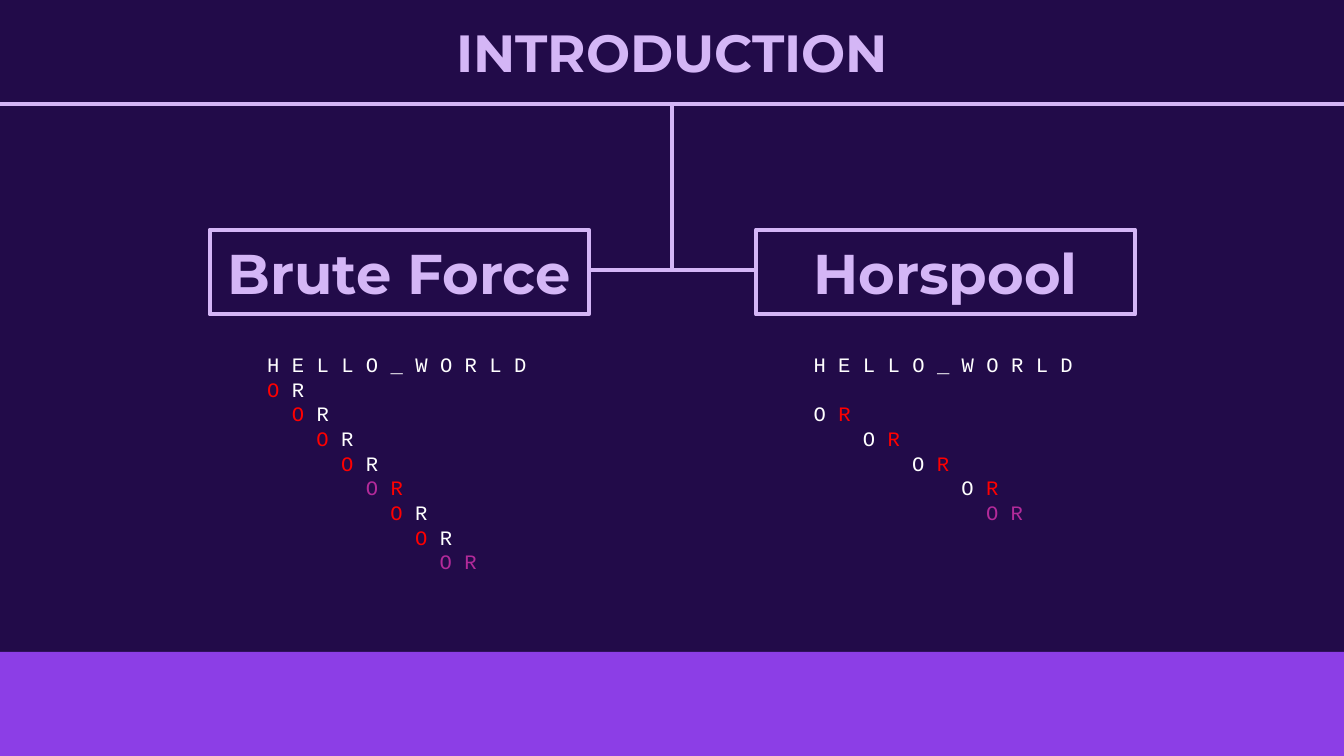
import dataclasses

import lxml.etree
import pptx
import pptx.dml.color
import pptx.enum.shapes
import pptx.enum.text
import pptx.oxml.ns
import pptx.util


@dataclasses.dataclass(frozen=True)
class Theme:
    night: str = "220B49"
    lilac: str = "D4B6F6"
    violet: str = "8C3EE6"
    plain: str = "FFFFFF"
    miss: str = "FF0000"
    hit: str = "B32A9A"
    heading_font: str = "Montserrat"
    code_font: str = "Courier New"
    title_size: float = 28
    label_size: float = 30
    code_size: float = 11
    code_step: float = 13.2
    line_width: float = 2.25


class SlideBuilder:
    """Draw themed elements on a square grid, 100 columns to the slide's width."""

    def __init__(self, deck, theme):
        self.theme = theme
        self.unit = deck.slide_width / 100
        self.page = deck.slides.add_slide(deck.slide_layouts[6])
        self.paint(self.page.background.fill, theme.night)

    def grid(self, *lengths):
        return [round(length * self.unit) for length in lengths]

    def paint(self, fill, color):
        fill.solid()
        fill.fore_color.rgb = pptx.dml.color.RGBColor.from_string(color)

    def stroke(self, line):
        self.paint(line.fill, self.theme.lilac)
        line.width = pptx.util.Pt(self.theme.line_width)

    def line(self, *ends):
        connector = self.page.shapes.add_connector(
            pptx.enum.shapes.MSO_CONNECTOR.STRAIGHT, *self.grid(*ends))
        self.stroke(connector.line)
        properties = connector._element.spPr
        lxml.etree.SubElement(properties, pptx.oxml.ns.qn("a:effectLst"))

    def block(self, *place, fill, outlined=False):
        shape = self.page.shapes.add_shape(
            pptx.enum.shapes.MSO_SHAPE.RECTANGLE, *self.grid(*place))
        shape.shadow.inherit = False
        self.paint(shape.fill, fill)
        if outlined:
            self.stroke(shape.line)
        else:
            shape.line.fill.background()
        return shape

    def frame(self, shape):
        frame = shape.text_frame
        frame.word_wrap = True
        frame.margin_left, frame.margin_right, frame.margin_top, frame.margin_bottom = self.grid(1, 1, 1, 1)
        return frame

    def textbox(self, *place):
        return self.page.shapes.add_textbox(*self.grid(*place))

    def heading(self, shape, text, size):
        frame = self.frame(shape)
        frame.vertical_anchor = pptx.enum.text.MSO_ANCHOR.MIDDLE
        para = frame.paragraphs[0]
        para.text = text
        para.alignment = pptx.enum.text.PP_ALIGN.CENTER
        para.font.name = self.theme.heading_font
        para.font.size = pptx.util.Pt(size)
        para.font.bold = True
        self.paint(para.font.fill, self.theme.lilac)

    def label(self, text, *place):
        shape = self.block(*place, fill=self.theme.night, outlined=True)
        self.heading(shape, text, self.theme.label_size)

    def trace(self, text, attempts, gap, *place):
        frame = self.frame(self.textbox(*place))
        step = pptx.util.Pt(self.theme.code_step)
        rows = [(0, [(text, self.theme.plain)])]
        rows += [(column, [("O ", first), ("R", second)])
                 for column, first, second in attempts]
        for index, (column, spans) in enumerate(rows):
            para = frame.paragraphs[0] if index == 0 else frame.add_paragraph()
            para.line_spacing = step
            para.space_before = step * gap if index == 1 else 0
            para._p.get_or_add_pPr().set("marL", str(column * step))
            para.font.name = self.theme.code_font
            para.font.size = pptx.util.Pt(self.theme.code_size)
            for words, color in spans:
                span = para.add_run()
                span.text = words
                self.paint(span.font.fill, color)


def main():
    theme = Theme()
    deck = pptx.Presentation()
    deck.slide_width = pptx.util.Inches(10)
    deck.slide_height = deck.slide_width * 9 // 16
    builder = SlideBuilder(deck, theme)

    builder.line(50, 20.1, 50, 7.75)
    builder.line(0, 7.75, 100, 7.75)
    builder.line(43.6, 20.1, 56.4, 20.1)
    builder.block(0, 48.5, 100, 7.75, fill=theme.violet)

    brute_force = [(column, theme.miss, theme.plain) for column in range(7)]
    brute_force[4] = (4, theme.hit, theme.miss)
    horspool = [(column, theme.plain, theme.miss) for column in range(0, 8, 2)]
    match = (7, theme.hit, theme.hit)
    methods = [
        ("Brute Force", 15.6, brute_force + [match], 0, 19.6),
        ("Horspool", 56.25, horspool + [match], 1, 15.9),
    ]
    for name, left, attempts, gap, height in methods:
        builder.label(name, left, 17.1, 28.2, 6.3)
        builder.trace("H E L L O _ W O R L D", attempts, gap, left + 3.3, 25.2, 21.6, height)
    builder.heading(builder.textbox(20.2, 0.35, 59.6, 6.9), "INTRODUCTION", theme.title_size)

    deck.save("out.pptx")


if __name__ == "__main__":
    main()
